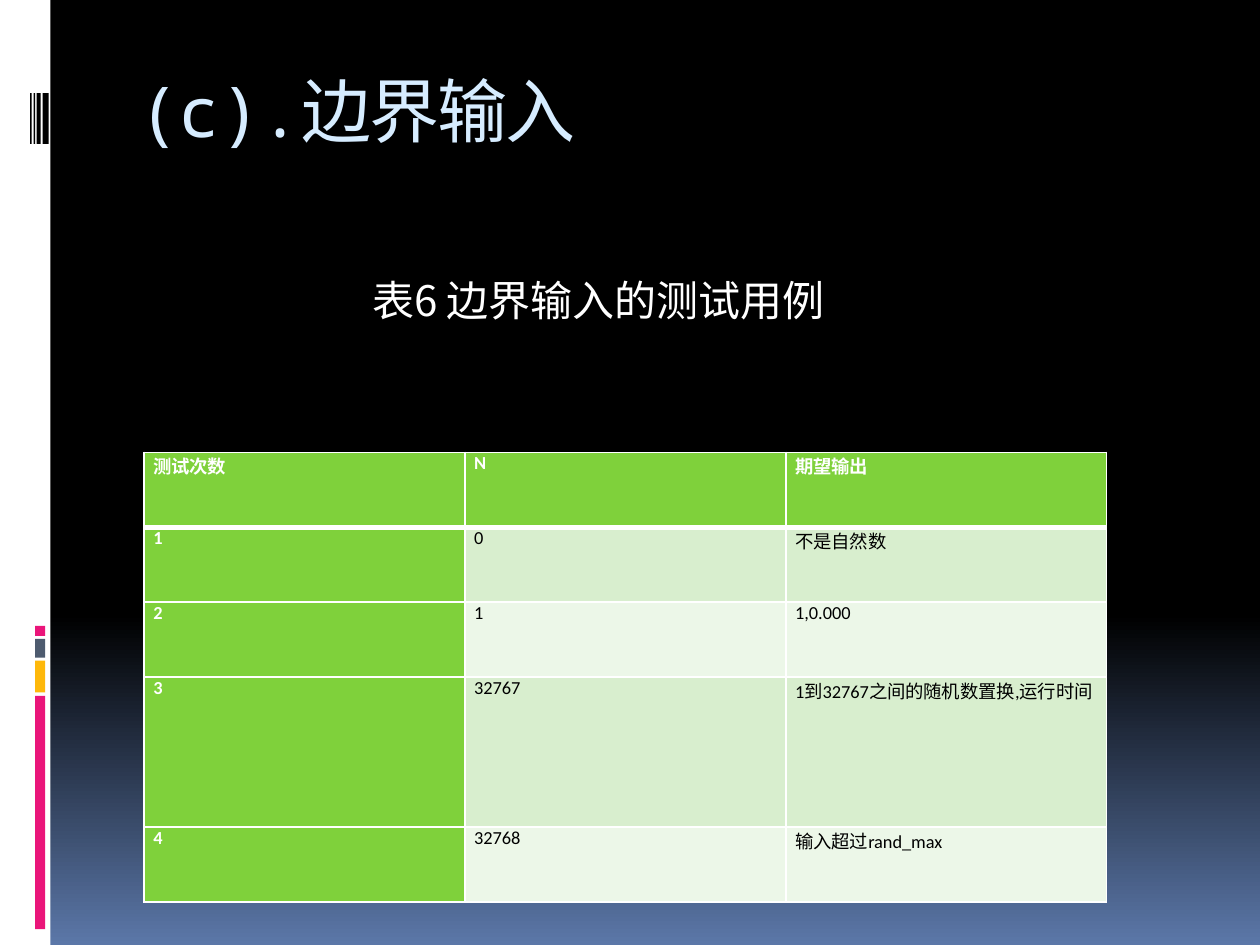
"""Build the slide on boundary-input test cases."""
from lxml.etree import SubElement
from pptx import Presentation
from pptx.dml.color import RGBColor as RGB
from pptx.enum.shapes import MSO_SHAPE as Shape
from pptx.enum.text import MSO_ANCHOR as Anchor, PP_ALIGN as Align
from pptx.oxml.ns import qn
from pptx.util import Cm, Pt

WHITE = RGB(0xFF, 0xFF, 0xFF)
BLACK = RGB(0x00, 0x00, 0x00)
BLUE = RGB(0x5B, 0x77, 0xA8)
PALE = RGB(0xD6, 0xEC, 0xFF)
PINK = RGB(0xEA, 0x15, 0x7A)
GOLD = RGB(0xFE, 0xB8, 0x0A)
SLATE = RGB(0x4E, 0x5B, 0x6F)
GREEN = RGB(0x7F, 0xD1, 0x3B)
BANDS = (RGB(0xD8, 0xEE, 0xCE), RGB(0xEC, 0xF7, 0xE8))
LATIN, MONO, HAN = "Calibri", "Noto Sans Mono", "Noto Sans CJK SC"

TITLE = "(c).边界输入"
CAPTION = "表6 边界输入的测试用例"
ROWS = [
    ("测试次数", "N", "期望输出"),
    ("1", "0", "不是自然数"),
    ("2", "1", "1,0.000"),
    ("3", "32767", "1到32767之间的随机数置换,运行时间"),
    ("4", "32768", "输入超过rand_max"),
]
HEIGHTS = (1.51, 1.51, 1.51, 3.02, 1.51)
COL = 6.47
STRIPES = [(14.03, 4.7, PINK), (13.32, 0.64, GOLD), (12.88, 0.38, SLATE), (12.62, 0.2, PINK)]
CODE = [(0.86, 0.12), (0.74, 0.08), (0.68, 0.03), (0.61, 0.03)]


def add_bar(slide, box, color):
    bar = slide.shapes.add_shape(Shape.RECTANGLE, *map(Cm, box))
    bar.shadow.inherit = False
    bar.fill.solid()
    bar.fill.fore_color.rgb = color
    bar.line.fill.background()


def style(para, size, color, latin, bold=False):
    for run in para.runs:
        font = run.font
        font.size, font.bold, font.name = Pt(size), bold, latin
        font.color.rgb = color
        SubElement(font._element, qn("a:ea")).set("typeface", HAN)


def add_edges(cell, head):
    props = cell._tc.get_or_add_tcPr()
    for spot, side in enumerate("LRTB"):
        width = Pt(3 if head and side == "B" else 1)
        edge = props.makeelement(qn(f"a:ln{side}"), {"w": str(width)})
        fill = SubElement(edge, qn("a:solidFill"))
        SubElement(fill, qn("a:srgbClr")).set("val", str(WHITE))
        props.insert(spot, edge)


def add_cases(slide):
    box = (2.9, 9.12, COL * len(ROWS[0]), sum(HEIGHTS))
    frame = slide.shapes.add_table(len(ROWS), len(ROWS[0]), *map(Cm, box))
    table = frame.table
    for col in table.columns:
        col.width = Cm(COL)
    for r, (texts, height) in enumerate(zip(ROWS, HEIGHTS)):
        table.rows[r].height = Cm(height)
        for c, text in enumerate(texts):
            cell, key = table.cell(r, c), r == 0 or c == 0
            cell.text_frame.text = text
            cell.margin_left = cell.margin_right = Cm(0.19)
            cell.margin_top = cell.margin_bottom = 0
            cell.fill.solid()
            cell.fill.fore_color.rgb = GREEN if key else BANDS[(r - 1) % 2]
            style(cell.text_frame.paragraphs[0], 10.5, WHITE if key else BLACK, LATIN, key)
            add_edges(cell, r == 0)


def main():
    prs = Presentation()
    prs.slide_width, prs.slide_height = Cm(25.4), Cm(19.05)
    slide = prs.slides.add_slide(prs.slide_layouts[5])

    back = slide.background.fill
    back.gradient()
    back.gradient_angle = 270
    for stop, (place, color) in zip(back.gradient_stops, [(0.65, BLACK), (1, BLUE)]):
        stop.position, stop.color.rgb = place, color

    add_bar(slide, (0, 0, 1.02, 19.05), WHITE)
    for top, height, color in STRIPES:
        add_bar(slide, (0.71, top, 0.2, height), color)
    for left, width in CODE:
        add_bar(slide, (left, 1.88, width, 1.02), BLACK)

    title = slide.shapes.title
    title.left, title.top, title.width, title.height = map(Cm, (2.54, 1.42, 21.59, 2.54))
    frame = title.text_frame
    frame.text, frame.vertical_anchor = TITLE, Anchor.TOP
    para = frame.paragraphs[0]
    para.alignment, para.line_spacing = Align.LEFT, 0.9
    style(para, 40, PALE, MONO)
    para.runs[0].font._element.set("spc", "-100")

    add_cases(slide)

    note = slide.shapes.add_textbox(*map(Cm, (7.11, 5.51, 9.91, 1.27)))
    frame = note.text_frame
    frame.text, frame.word_wrap, frame.vertical_anchor = CAPTION, True, Anchor.MIDDLE
    para = frame.paragraphs[0]
    para.alignment, para.line_spacing = Align.CENTER, 0.8
    style(para, 24, WHITE, HAN)

    prs.save("out.pptx")


if __name__ == "__main__":
    main()
